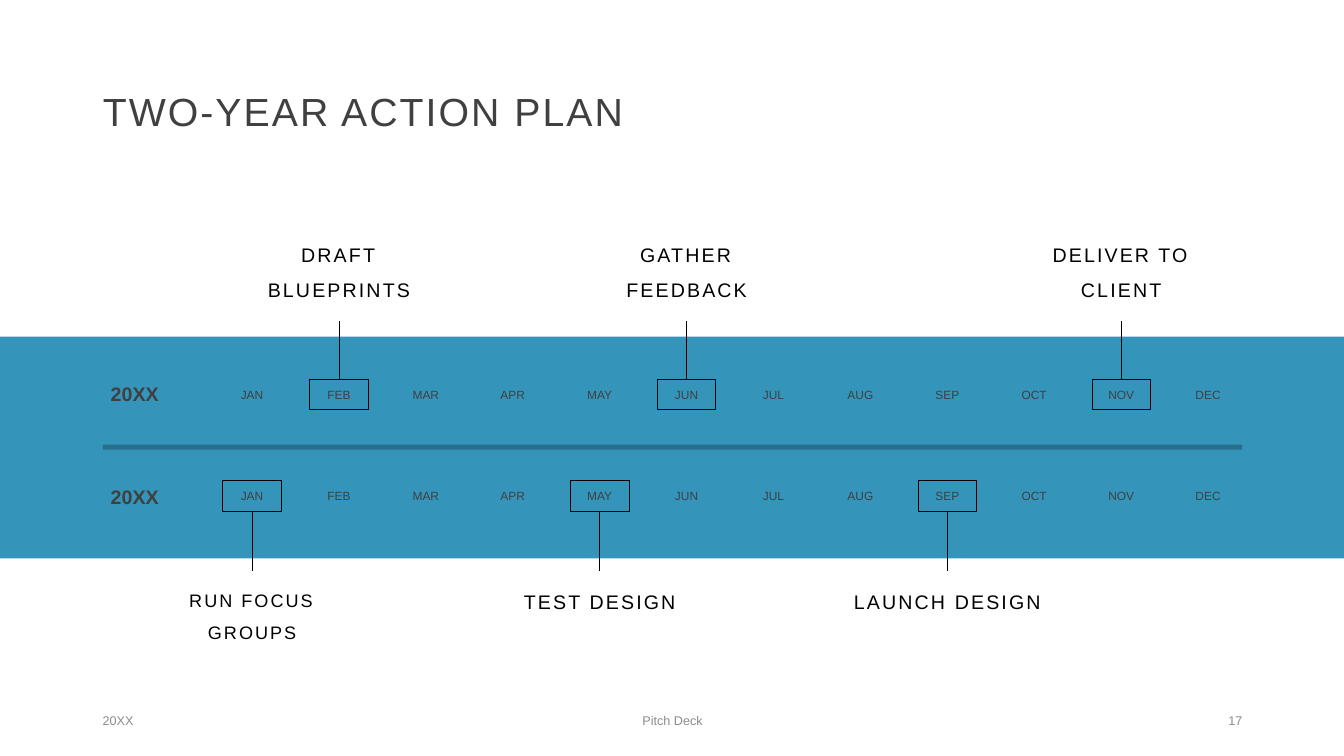
from lxml import etree
from pptx import Presentation
from pptx.dml.color import RGBColor
from pptx.enum.shapes import MSO_CONNECTOR, MSO_SHAPE
from pptx.enum.text import MSO_ANCHOR, PP_ALIGN
from pptx.oxml.ns import qn
from pptx.util import Inches, Pt

RECT = MSO_SHAPE.RECTANGLE
STRAIGHT = MSO_CONNECTOR.STRAIGHT
LEFT, CENTER, RIGHT = PP_ALIGN.LEFT, PP_ALIGN.CENTER, PP_ALIGN.RIGHT
TOP, MIDDLE, BOTTOM = MSO_ANCHOR.TOP, MSO_ANCHOR.MIDDLE, MSO_ANCHOR.BOTTOM

BLUE = RGBColor(0x34, 0x94, 0xBA)
DEEP = RGBColor(0x27, 0x6F, 0x8B)
DARK = RGBColor(0x40, 0x40, 0x40)
GRAY = RGBColor(0x8C, 0x8C, 0x8C)
BLACK = RGBColor(0, 0, 0)

MONTHS = "JAN FEB MAR APR MAY JUN JUL AUG SEP OCT NOV DEC".split()
FIRST, STEP = 2.5, 0.862  # center of January, distance between months
MARK_W, MARK_H = 0.58, 0.3
LABEL_W, LABEL_H = 2.25, 0.61

# Marker top, year top, month top, marker side, line end, label top,
# label anchor, milestones as (month index, wording, size)
YEARS = [
    (3.76, 3.67, 3.83, 0, 3.18, 2.43, BOTTOM,
     [(1, "DRAFT BLUEPRINTS", 14), (5, "GATHER FEEDBACK", 14),
      (10, "DELIVER TO CLIENT", 14)]),
    (4.77, 4.69, 4.84, 2, 5.66, 5.69, TOP,
     [(0, "RUN FOCUS GROUPS", 12.9), (4, "TEST DESIGN", 14),
      (8, "LAUNCH DESIGN", 14)]),
]

prs = Presentation()
prs.slide_width, prs.slide_height = Inches(13.33), Inches(7.5)
slide = prs.slides.add_slide(prs.slide_layouts[5])
shapes = slide.shapes


def write(box, text, size, color, align=LEFT, anchor=MIDDLE,
          gap=1.0, bold=False, track=0):
    """Fill a box with one paragraph; track is letter spacing in points."""
    frame = box.text_frame
    frame.text = text
    frame.word_wrap = True
    frame.vertical_anchor = anchor
    para = frame.paragraphs[0]
    para.alignment = align
    para.line_spacing = gap
    run = para.runs[0]
    font = run.font
    font.name, font.size, font.bold = "Arial", Pt(size), bold
    font.color.rgb = color
    if track:
        run._r.get_or_add_rPr().set("spc", str(int(track * 100)))


def add_box(left, top, width, height):
    return shapes.add_textbox(Inches(left), Inches(top),
                              Inches(width), Inches(height))


# Band and divider
for left, top, width, height, color in [(0, 3.34, 13.33, 2.2, BLUE),
                                        (1.02, 4.41, 11.3, 0.05, DEEP)]:
    bar = shapes.add_shape(RECT, Inches(left), Inches(top),
                           Inches(width), Inches(height))
    bar.shadow.inherit = False
    bar.fill.solid()
    bar.fill.fore_color.rgb = color
    bar.line.fill.background()

# Title
title = shapes.title
title.left, title.top = Inches(0.92), Inches(0.4)
title.width, title.height = Inches(11.5), Inches(1.45)
write(title, "TWO-YEAR ACTION PLAN", 28, DARK, gap=0.9, track=1.5)

# Timelines
for mark_y, year_y, month_y, side, end_y, label_y, anchor, goals in YEARS:
    write(add_box(1, year_y, 0.8, 0.5), "20XX", 14, DARK, gap=0.9, bold=True)
    for i, month in enumerate(MONTHS):
        write(add_box(FIRST + i * STEP - 0.35, month_y, 0.7, 0.22), month,
              8.5, DARK, CENTER, TOP, gap=0.7)

    for i, goal, size in goals:
        mid = FIRST + i * STEP
        mark = shapes.add_shape(RECT, Inches(mid - MARK_W / 2), Inches(mark_y),
                                Inches(MARK_W), Inches(MARK_H))
        mark.shadow.inherit = False
        mark.fill.background()
        stem = shapes.add_connector(STRAIGHT, Inches(mid), Inches(mark_y),
                                    Inches(mid), Inches(end_y))
        stem.begin_connect(mark, side)
        etree.SubElement(stem._element.spPr, qn("a:effectLst"))
        for item in (mark, stem):
            item.line.color.rgb = BLACK
            item.line.width = Pt(0.5)
        write(add_box(mid - LABEL_W / 2, label_y, LABEL_W, LABEL_H), goal,
              size, BLACK, CENTER, anchor, gap=1.5, track=1.5)

# Footer
for left, width, text, align in [(0.92, 3, "20XX", LEFT),
                                 (4.42, 4.5, "Pitch Deck", CENTER),
                                 (9.42, 3, "17", RIGHT)]:
    write(add_box(left, 6.95, width, 0.4), text, 9, GRAY, align)

prs.save("out.pptx")
